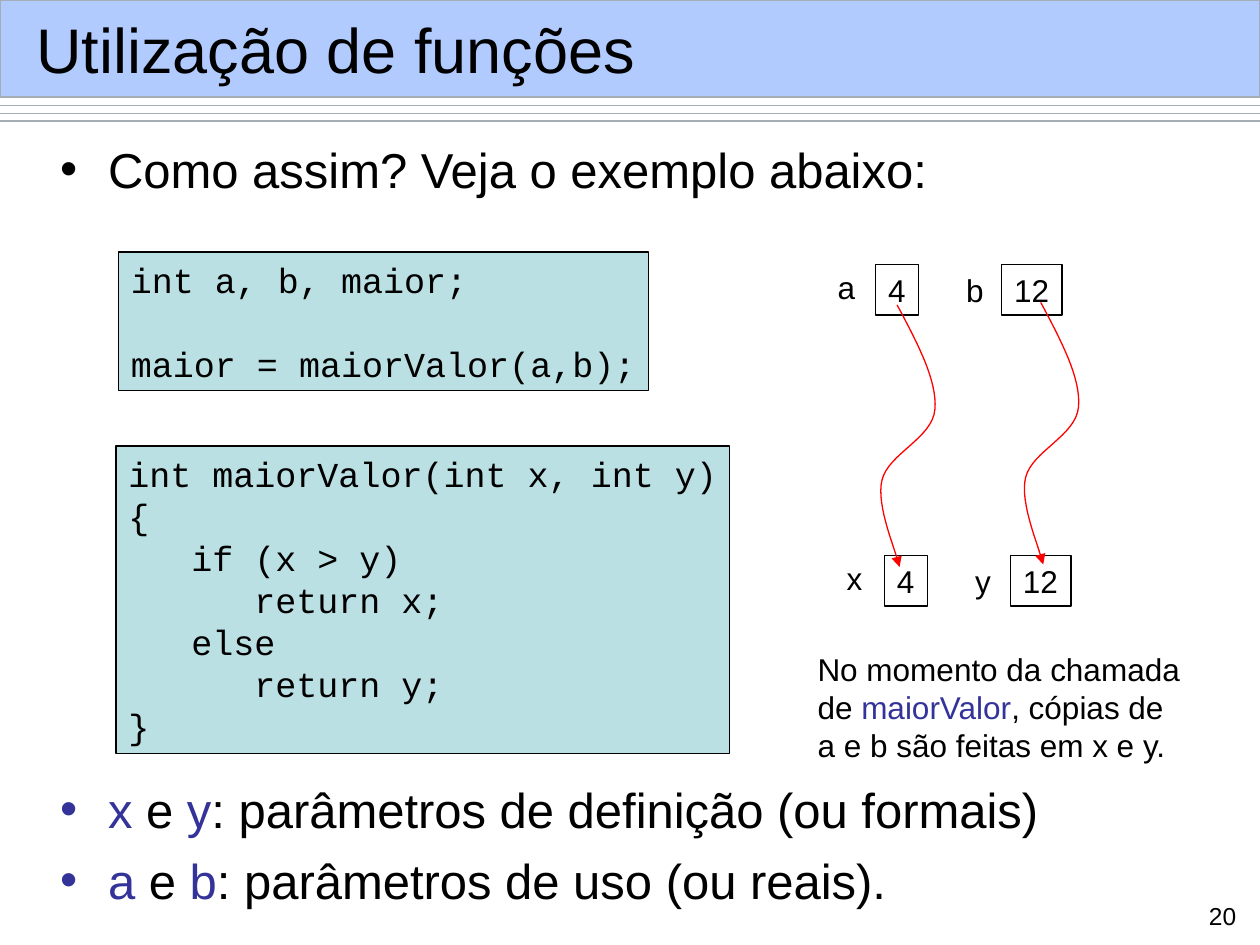
"""Build the slide on calling functions and copying parameters."""
import pptx
import pptx.dml.color
import pptx.enum.shapes
import pptx.enum.text
import pptx.oxml.ns
import pptx.util
from lxml import etree

Inches, Pt, qn = pptx.util.Inches, pptx.util.Pt, pptx.oxml.ns.qn
ALIGN, ANCHOR = pptx.enum.text.PP_ALIGN, pptx.enum.text.MSO_ANCHOR
KINDS = pptx.enum.shapes

BLACK, BLUE, GREY, RED, TEAL, BAND = "000000", "333399", "A3AEB7", "FF0000", "BBE0E3", "6699FF"
SANS, MONO = "Arial", "Courier New"
CHAR = 0.6 * 20 / 72

TITLE = "Utilização de funções"
POINTS = [
    ("Como assim? Veja o exemplo abaixo:", 0),
    ("*x* e *y*: parâmetros de definição (ou formais)", 9 * 7 + 8 * 1.2 * 28),
    ("*a* e *b*: parâmetros de uso (ou reais).", 7),
]
CALL = [("int a, b, maior;", 0, 0), ("maior = maiorValor(a,b);", 0, 24)]
BODY = [
    ("int maiorValor(int x, int y)", 0, 0),
    ("{", 0, 0),
    ("if (x > y)", 3, 0),
    ("return x;", 6, 0),
    ("else", 3, 0),
    ("return y;", 6, 0),
    ("}", 0, 0),
]
NOTE = ["No momento da chamada", "de *maiorValor*, cópias de", "a e b são feitas em x e y."]
ROWS = [
    (6.95, 2.1, 0.34, [("a", "4"), ("b", "12")]),
    (7.02, 4.41, 0.32, [("x", "4"), ("y", "12")]),
]
WIDE = {"4": 0.34, "12": 0.48}
CURVE = [
    (7.12, 2.42), (7.28, 2.72), (7.44, 3.02), (7.42, 3.25), (7.4, 3.48),
    (7.05, 3.6), (7, 3.81), (6.95, 4.01), (7.11, 4.37), (7.14, 4.5),
]
SHIFTS = [(0, 0), (1.14, -0.02)]

deck = pptx.Presentation()
deck.slide_width, deck.slide_height = Inches(10), Inches(7.5)
shapes = deck.slides.add_slide(deck.slide_layouts[6]).shapes


def paint(fill, color):
    fill.solid()
    fill.fore_color.rgb = pptx.dml.color.RGBColor.from_string(color)


def edge(shape, color):
    paint(shape.line.fill, color)
    shape.line.width = Pt(0.75)


def block(box, fill=None, line=BLACK):
    shape = shapes.add_shape(KINDS.MSO_SHAPE.RECTANGLE, *map(Inches, box))
    shape.shadow.inherit = False
    if fill:
        paint(shape.fill, fill)
    else:
        shape.fill.background()
    edge(shape, line)
    return shape


def bullet(para, color):
    prop = para._p.get_or_add_pPr()
    prop.set("marL", str(Inches(0.38)))
    prop.set("indent", str(-Inches(0.38)))
    tint = etree.SubElement(prop, qn("a:buClr"))
    etree.SubElement(tint, qn("a:srgbClr"), val=color)
    etree.SubElement(prop, qn("a:buFont"), typeface=SANS)
    etree.SubElement(prop, qn("a:buChar"), char="•")


def write(text, box=None, shape=None, size=18, font=SANS, wrap=False,
          align=ALIGN.LEFT, anchor=ANCHOR.TOP, dots=False):
    shape = shape or shapes.add_textbox(*map(Inches, box))
    frame = shape.text_frame
    frame.word_wrap, frame.vertical_anchor = wrap, anchor
    lines = [text] if isinstance(text, str) else text
    for i, item in enumerate(lines):
        words, step, gap = (item, 0, 0) if isinstance(item, str) else item
        para = frame.add_paragraph() if i else frame.paragraphs[0]
        para.alignment, para.line_spacing = align, Pt(1.2 * size)
        para.space_before = Pt(gap)
        if dots:
            bullet(para, BLUE if words.startswith("*") else BLACK)
        elif step:
            para._p.get_or_add_pPr().set("marL", str(Inches(step * CHAR)))
        for j, part in enumerate(words.split("*")):
            if part:
                run = para.add_run()
                run.text = part
                run.font.size, run.font.name = Pt(size), font
                paint(run.font.fill, BLUE if j % 2 else BLACK)


def trace(knots, steps=16):
    spots = [knots[0]]
    for k in range(0, len(knots) - 1, 3):
        quad = knots[k:k + 4]
        for n in range(1, steps + 1):
            t = n / steps
            rates = ((1 - t) ** 3, 3 * t * (1 - t) ** 2, 3 * t * t * (1 - t), t ** 3)
            spots.append(tuple(sum(r * q[axis] for r, q in zip(rates, quad)) for axis in (0, 1)))
    return spots


def arrow(dx, dy):
    spots = [(Inches(x + dx), Inches(y + dy)) for x, y in trace(CURVE)]
    pen = shapes.build_freeform(*spots[0])
    pen.add_line_segments(spots[1:], close=False)
    shape = pen.convert_to_shape()
    shape.shadow.inherit = False
    shape.fill.background()
    edge(shape, RED)
    etree.SubElement(shape.line._get_or_add_ln(), qn("a:tailEnd"), type="triangle")


for y in (0.84, 0.9, 0.96):
    rule = shapes.add_connector(KINDS.MSO_CONNECTOR.STRAIGHT, 0, Inches(y), Inches(10), Inches(y))
    edge(rule, GREY)
    etree.SubElement(rule._element.spPr, qn("a:effectLst"))

band = block((0, 0, 10, 0.77), BAND, GREY)
tint = band._element.spPr.find(qn("a:solidFill")).find(qn("a:srgbClr"))
etree.SubElement(tint, qn("a:alpha"), val="50000")

points = [(words, 0, gap) for words, gap in POINTS]
write(points, (0.38, 1.06, 9.33, 6.24), size=28, wrap=True, dots=True)
for code, box in ((CALL, (0.94, 2, 4.21, 1.1)), (BODY, (0.92, 3.54, 4.87, 2.44))):
    write(code, shape=block(box, TEAL), size=20, font=MONO)

for left, y, width, pairs in ROWS:
    for i, (name, value) in enumerate(pairs):
        write(value, shape=block((left + i, y, WIDE[value], 0.4)))
        write(name, (left - 0.4 + 1.02 * i, y - 0.02 * (1 - i), width, 0.4))
for shift in SHIFTS:
    arrow(*shift)

write(NOTE, (6.39, 5.11, 3.3, 1), wrap=True)
write(TITLE, (0.19, 0.09, 9.64, 0.59), size=36, wrap=True, anchor=ANCHOR.MIDDLE)
write("20", (9.38, 7.1, 0.53, 0.31), size=14, wrap=True, align=ALIGN.RIGHT)

deck.save("out.pptx")
